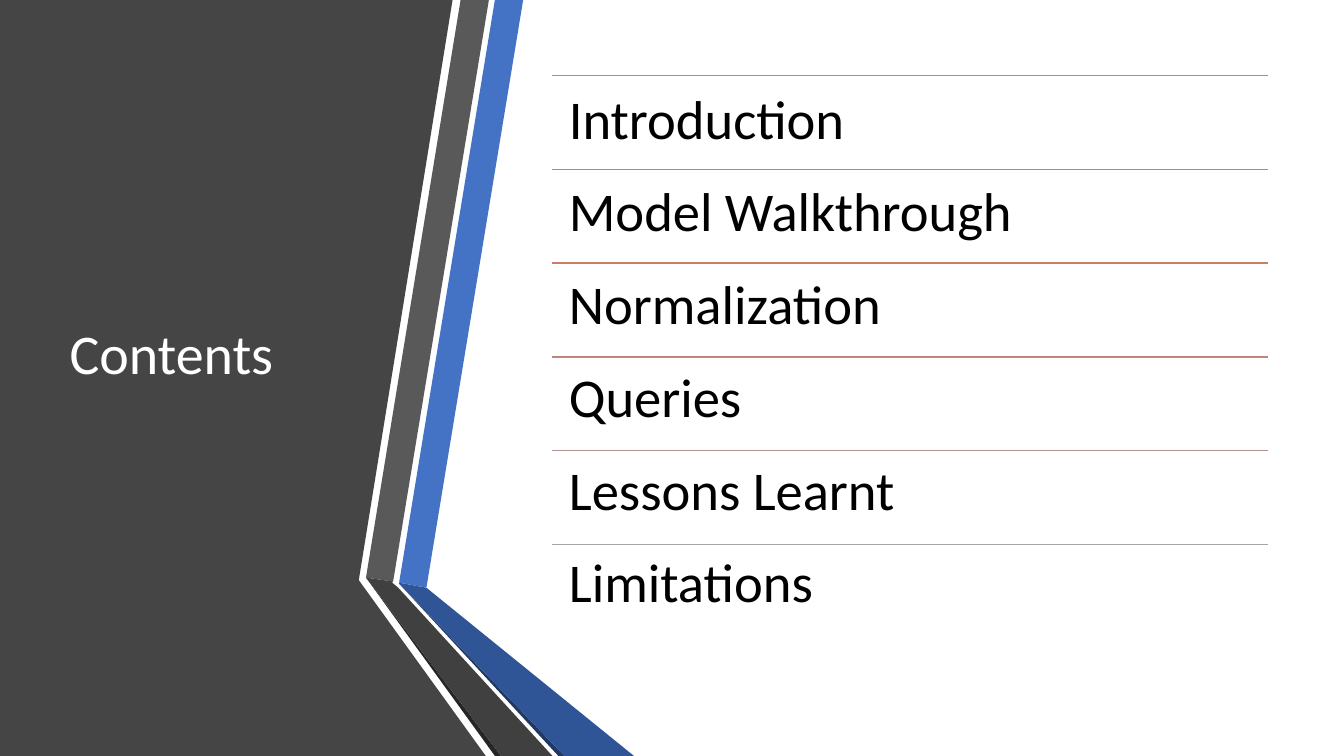
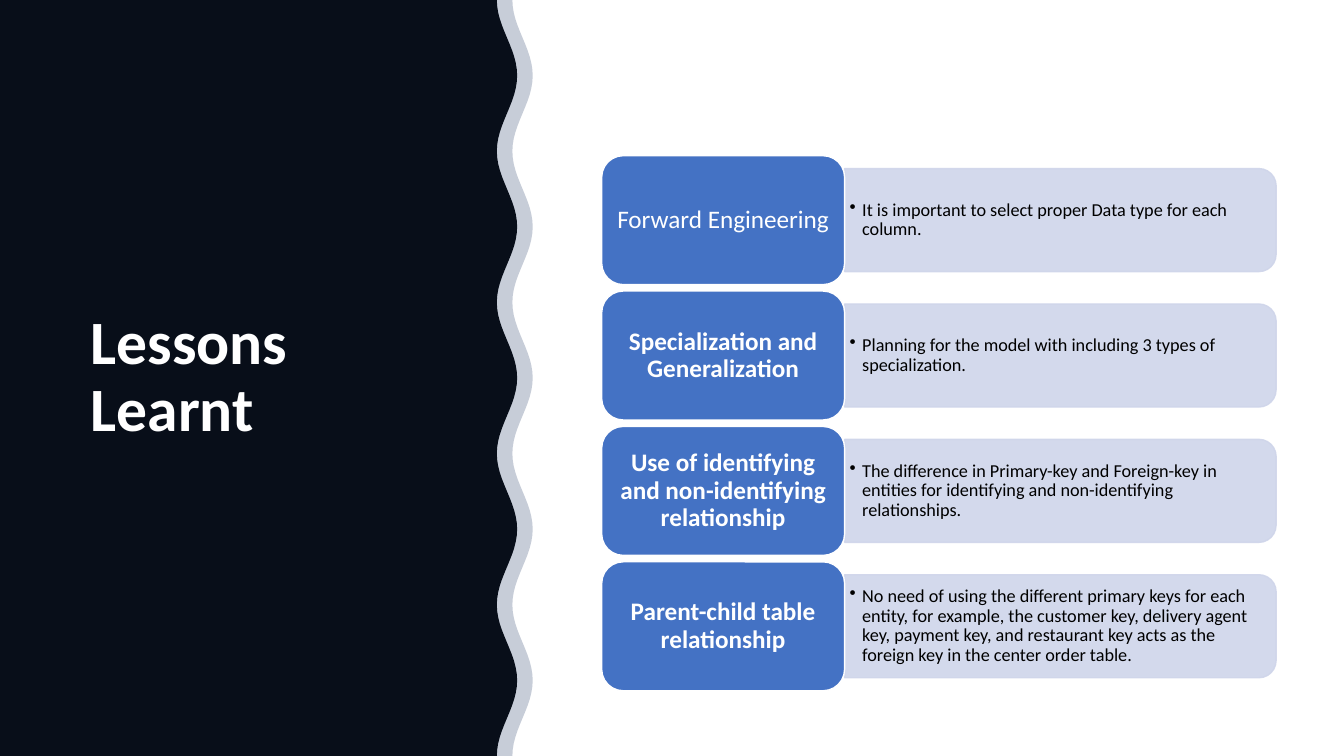
from dataclasses import dataclass
from math import cos, pi

from lxml.etree import SubElement
from pptx import Presentation
from pptx.dml.color import RGBColor
from pptx.enum.shapes import MSO_CONNECTOR, MSO_SHAPE
from pptx.enum.text import MSO_ANCHOR, MSO_AUTO_SIZE, PP_ALIGN
from pptx.oxml.ns import qn
from pptx.shapes.base import BaseShape
from pptx.slide import Slide
from pptx.text.text import TextFrame, _Paragraph as Paragraph
from pptx.util import Pt

Point = tuple[float, float]

FONT = "Calibri"
SLIDE_WIDTH, SLIDE_HEIGHT = 960, 540

WHITE = RGBColor(0xFF, 0xFF, 0xFF)
BLACK = RGBColor(0x00, 0x00, 0x00)
CHARCOAL = RGBColor(0x45, 0x45, 0x45)
GRAY = RGBColor(0x59, 0x59, 0x59)
DARK_GRAY = RGBColor(0x40, 0x40, 0x40)
DEEP_GRAY = RGBColor(0x26, 0x26, 0x26)
BLUE = RGBColor(0x44, 0x72, 0xC4)
DARK_BLUE = RGBColor(0x2F, 0x55, 0x97)
NAVY = RGBColor(0x20, 0x38, 0x64)
PALE_BLUE = RGBColor(0xCF, 0xD5, 0xEA)


@dataclass(frozen=True)
class Box:
    left: float
    top: float
    width: float
    height: float


@dataclass(frozen=True)
class Facet:
    color: RGBColor
    points: list[Point]


@dataclass(frozen=True)
class Topic:
    name: str
    rule_color: RGBColor


@dataclass(frozen=True)
class Lesson:
    label: str
    detail: str
    bold: bool = True


FACETS = [
    Facet(CHARCOAL, [(0, 0), (323.3, 0), (256.3, 414.4), (347, 540), (0, 540)]),
    Facet(BLUE, [(285.1, 416.2), (304.6, 419.8), (373.7, 0), (353.5, 0)]),
    Facet(GRAY, [(349.2, 0), (329, 0), (261.4, 412.6), (280.8, 415.4)]),
    Facet(DEEP_GRAY, [(261.4, 412.6), (353.5, 540), (357.8, 540)]),
    Facet(NAVY, [(285.1, 416.9), (398.9, 540), (403.2, 540)]),
    Facet(DARK_BLUE, [(285.1, 416.2), (285.1, 416.9), (403.2, 540), (452.9, 540), (304.6, 419.8)]),
    Facet(DARK_GRAY, [(394.6, 540), (284.4, 419.8), (280.1, 416.2), (280.8, 415.4),
                      (261.4, 412.6), (357.8, 540)]),
]

TOPICS = [
    Topic("Introduction", RGBColor(0xED, 0x7D, 0x31)),
    Topic("Model Walkthrough", RGBColor(0xDC, 0x7A, 0x4B)),
    Topic("Normalization", RGBColor(0xCC, 0x7D, 0x64)),
    Topic("Queries", RGBColor(0xBD, 0x86, 0x7B)),
    Topic("Lessons Learnt", RGBColor(0xB0, 0x93, 0x91)),
    Topic("Limitations", RGBColor(0xA5, 0xA5, 0xA5)),
]
TOPIC_LIST = Box(394.6, 54, 511.2, 401.8)
TOPIC_PITCH = TOPIC_LIST.height / len(TOPICS)
TOPIC_SIZE = 39
TOPIC_LINE_HEIGHT = 42.85

LESSONS = [
    Lesson("Forward Engineering",
           "It is important to select proper Data type for each column.", bold=False),
    Lesson("Specialization and Generalization",
           "Planning for the model with including 3 types of specialization."),
    Lesson("Use of identifying and non-identifying relationship",
           "The difference in Primary-key and Foreign-key in entities for identifying "
           "and non-identifying relationships."),
    Lesson("Parent-child table relationship",
           "No need of using the different primary keys for each entity, for example, "
           "the customer key, delivery agent key, payment key, and restaurant key acts "
           "as the foreign key in the center order table."),
]
FIRST_LABEL = Box(429.8, 111.2, 173.5, 92.1)
LESSON_PITCH = 96.7
PANEL_WIDTH, PANEL_HEIGHT = 308.2, 73.6
DETAIL_WIDTH = 304.6
BULLET_INDENT = 9

WAVE_PERIOD = 108
WAVE_DEPTH = 14.5
WAVE_STEP = 4.5


def place(shape: BaseShape, box: Box) -> None:
    shape.left, shape.top = Pt(box.left), Pt(box.top)
    shape.width, shape.height = Pt(box.width), Pt(box.height)


def bring_to_front(shape: BaseShape) -> None:
    shape.element.getparent().append(shape.element)


def set_opacity(shape: BaseShape, percent: int) -> None:
    for color in shape.element.spPr.iter(qn("a:srgbClr")):
        SubElement(color, qn("a:alpha")).set("val", str(percent * 1000))


def set_frame(frame: TextFrame, anchor: MSO_ANCHOR, horizontal: float, vertical: float) -> None:
    frame.word_wrap = True
    frame.auto_size = MSO_AUTO_SIZE.NONE
    frame.vertical_anchor = anchor
    frame.margin_left = frame.margin_right = Pt(horizontal)
    frame.margin_top = frame.margin_bottom = Pt(vertical)


def set_paragraph(paragraph: Paragraph, text: str, size: float, color: RGBColor,
                  bold: bool = False, alignment: PP_ALIGN = PP_ALIGN.LEFT) -> None:
    paragraph.text = text
    paragraph.alignment = alignment
    paragraph.line_spacing = 0.9
    paragraph.space_before = Pt(0)
    paragraph.font.name = FONT
    paragraph.font.size = Pt(size)
    paragraph.font.bold = bold
    paragraph.font.color.rgb = color


def set_bullet(paragraph: Paragraph, character: str | None, indent: float = 0) -> None:
    properties = paragraph._p.get_or_add_pPr()
    properties.set("marL", str(Pt(indent)))
    properties.set("indent", str(-Pt(indent)))
    bullet = properties.makeelement(qn("a:buChar" if character else "a:buNone"), {})
    if character:
        bullet.set("char", character)
    properties.insert_element_before(bullet, "a:tabLst", "a:defRPr", "a:extLst")


def set_title(slide: Slide, text: str, box: Box, size: float, bold: bool = False) -> None:
    title = slide.shapes.title
    place(title, box)
    set_frame(title.text_frame, MSO_ANCHOR.MIDDLE, 7.2, 3.6)
    set_paragraph(title.text_frame.paragraphs[0], text, size, WHITE, bold)
    bring_to_front(title)


def add_outline(slide: Slide, points: list[Point], color: RGBColor) -> BaseShape:
    start, *others = [(Pt(x), Pt(y)) for x, y in points]
    builder = slide.shapes.build_freeform(*start)
    builder.add_line_segments(others, close=True)
    shape = builder.convert_to_shape()
    shape.shadow.inherit = False
    shape.fill.solid()
    shape.fill.fore_color.rgb = color
    shape.line.fill.background()
    return shape


def add_preset(slide: Slide, preset: MSO_SHAPE, box: Box, fill: RGBColor,
               line: RGBColor) -> BaseShape:
    shape = slide.shapes.add_shape(preset, 0, 0, 0, 0)
    place(shape, box)
    shape.shadow.inherit = False
    shape.fill.solid()
    shape.fill.fore_color.rgb = fill
    shape.line.color.rgb = line
    shape.line.width = Pt(1)
    return shape


def add_rule(slide: Slide, left: float, right: float, y: float, color: RGBColor) -> None:
    rule = slide.shapes.add_connector(
        MSO_CONNECTOR.STRAIGHT, Pt(left), Pt(y), Pt(right), Pt(y))
    rule.line.color.rgb = color
    rule.line.width = Pt(1)
    SubElement(rule.element.spPr, qn("a:effectLst"))


def wave_panel(edge: float) -> list[Point]:
    steps = round(SLIDE_HEIGHT / WAVE_STEP)
    heights = [step * WAVE_STEP for step in range(steps + 1)]
    wave = [(edge + WAVE_DEPTH * (1 - cos(2 * pi * y / WAVE_PERIOD)) / 2, y) for y in heights]
    return [(0, 0), *wave, (0, SLIDE_HEIGHT)]


def add_lesson(slide: Slide, lesson: Lesson, label_box: Box) -> None:
    panel_left = label_box.left + label_box.width
    middle = label_box.top + label_box.height / 2
    upright_panel = Box(panel_left + (PANEL_WIDTH - PANEL_HEIGHT) / 2,
                        middle - PANEL_WIDTH / 2, PANEL_HEIGHT, PANEL_WIDTH)
    panel = add_preset(slide, MSO_SHAPE.ROUND_2_SAME_RECTANGLE, upright_panel,
                       PALE_BLUE, PALE_BLUE)
    panel.rotation = 90
    set_opacity(panel, 90)

    detail = slide.shapes.add_textbox(0, 0, 0, 0)
    place(detail, Box(panel_left, middle - PANEL_HEIGHT / 2, DETAIL_WIDTH, PANEL_HEIGHT))
    set_frame(detail.text_frame, MSO_ANCHOR.MIDDLE, 3.6, 2.2)
    paragraph = detail.text_frame.paragraphs[0]
    set_paragraph(paragraph, lesson.detail, 13, BLACK)
    set_bullet(paragraph, "•", BULLET_INDENT)

    label = add_preset(slide, MSO_SHAPE.ROUNDED_RECTANGLE, label_box, BLUE, WHITE)
    set_frame(label.text_frame, MSO_ANCHOR.MIDDLE, 5, 2.9)
    set_paragraph(label.text_frame.paragraphs[0], lesson.label, 18, WHITE,
                  lesson.bold, PP_ALIGN.CENTER)


def build_contents(presentation: Presentation) -> None:
    slide = presentation.slides.add_slide(presentation.slide_layouts[1])
    for facet in FACETS:
        add_outline(slide, facet.points, facet.color)
    set_title(slide, "Contents", Box(42.5, 54, 218.9, 401.8), 40)

    body = slide.placeholders[1]
    place(body, TOPIC_LIST)
    frame = body.text_frame
    set_frame(frame, MSO_ANCHOR.TOP, 11.7, 11.7)
    for index, topic in enumerate(TOPICS):
        add_rule(slide, TOPIC_LIST.left, TOPIC_LIST.left + TOPIC_LIST.width,
                 TOPIC_LIST.top + index * TOPIC_PITCH, topic.rule_color)
        paragraph = frame.add_paragraph() if index else frame.paragraphs[0]
        set_paragraph(paragraph, topic.name, TOPIC_SIZE, BLACK)
        paragraph.space_after = Pt(TOPIC_PITCH - TOPIC_LINE_HEIGHT)
        set_bullet(paragraph, None)
    bring_to_front(body)


def build_lessons(presentation: Presentation) -> None:
    slide = presentation.slides.add_slide(presentation.slide_layouts[5])
    add_outline(slide, wave_panel(354.9), BLACK)
    set_opacity(add_outline(slide, wave_panel(366), NAVY), 25)
    set_title(slide, "Lessons Learnt", Box(57.6, 122.4, 266.4, 295.2), 44, bold=True)
    for index, lesson in enumerate(LESSONS):
        top = FIRST_LABEL.top + index * LESSON_PITCH
        add_lesson(slide, lesson, Box(FIRST_LABEL.left, top, FIRST_LABEL.width, FIRST_LABEL.height))


def main() -> None:
    presentation = Presentation()
    presentation.slide_width, presentation.slide_height = Pt(SLIDE_WIDTH), Pt(SLIDE_HEIGHT)
    build_contents(presentation)
    build_lessons(presentation)
    presentation.save("out.pptx")


if __name__ == "__main__":
    main()
